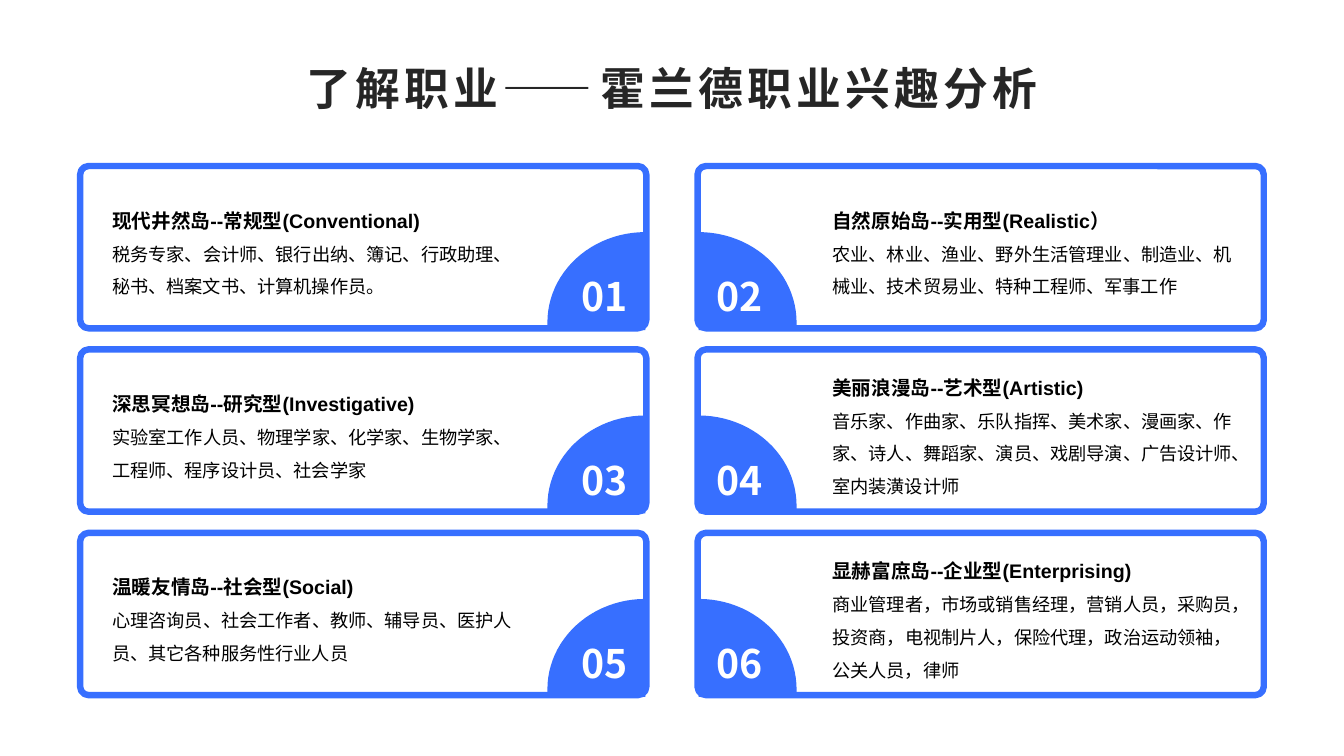
from math import cos, pi, sin

from pptx import Presentation
from pptx import util as u
from pptx.dml.color import RGBColor
from pptx.enum import shapes, text
from pptx.oxml.ns import qn

BLUE = RGBColor(0x37, 0x6F, 0xFF)
DARK = RGBColor(0x26, 0x26, 0x26)
BLACK = RGBColor(0, 0, 0)
WHITE = RGBColor(0xFF, 0xFF, 0xFF)
LATIN_FONT, CHINESE_FONT = "Arial", "Noto Sans CJK SC"

# Card grid, in points
COLUMN_LEFTS = (55, 496)
FIRST_TOP, ROW_PITCH = 116.3, 131
CARD_WIDTH, CARD_HEIGHT = 409, 120.5
BORDER, CORNER = 4.6, 6
BADGE_SIZE, BADGE_RISE, BADGE_INSET, BADGE_TOP = 70, 64.5, 3, 49.5

TITLE = "了解职业——霍兰德职业兴趣分析"
ISLANDS = [
    ("现代井然岛--常规型(Conventional)",
     "税务专家、会计师、银行出纳、簿记、行政助理、秘书、档案文书、计算机操作员。"),
    ("自然原始岛--实用型(Realistic）",
     "农业、林业、渔业、野外生活管理业、制造业、机械业、技术贸易业、特种工程师、军事工作"),
    ("深思冥想岛--研究型(Investigative)",
     "实验室工作人员、物理学家、化学家、生物学家、工程师、程序设计员、社会学家"),
    ("美丽浪漫岛--艺术型(Artistic)",
     "音乐家、作曲家、乐队指挥、美术家、漫画家、作家、诗人、舞蹈家、演员、戏剧导演、广告设计师、室内装潢设计师"),
    ("温暖友情岛--社会型(Social)",
     "心理咨询员、社会工作者、教师、辅导员、医护人员、其它各种服务性行业人员"),
    ("显赫富庶岛--企业型(Enterprising)",
     "商业管理者，市场或销售经理，营销人员，采购员，投资商，电视制片人，保险代理，政治运动领袖，公关人员，律师"),
]


class IslandPage:
    def __init__(self, page):
        self.page = page

    def style(self, para, size, color, bold, align, font=CHINESE_FONT, tracking=0):
        para.alignment = align
        for span in para.runs:
            span.font.name = font
            span.font.size = u.Pt(size)
            span.font.bold = bold
            span.font.color.rgb = color
            properties = span.font._element
            properties.get_or_change_to_solidFill()
            east_asian = properties.makeelement(qn("a:ea"), {"typeface": CHINESE_FONT})
            properties.find(qn("a:latin")).addnext(east_asian)
            if tracking:
                properties.set("spc", str(tracking * 100))

    def frame_text(self, box, left, top, right, bottom):
        frame = box.text_frame
        frame.word_wrap = True
        frame.auto_size = text.MSO_AUTO_SIZE.NONE
        frame.vertical_anchor = text.MSO_ANCHOR.MIDDLE
        frame.margin_left, frame.margin_top = u.Pt(left), u.Pt(top)
        frame.margin_right, frame.margin_bottom = u.Pt(right), u.Pt(bottom)
        return frame

    def title(self, words):
        box = self.page.shapes.title
        box.left, box.top, box.width, box.height = map(u.Pt, (54.7, 31, 850.5, 62.6))
        frame = self.frame_text(box, 7.2, 3.6, 7.2, 3.6)
        frame.text = words
        self.style(frame.paragraphs[0], 32, DARK, True, text.PP_ALIGN.CENTER, tracking=3)

    def badge(self, left, top, number, on_right):
        # Quarter ellipse with a short straight foot, curving toward the card middle
        outer = left + CARD_WIDTH - BADGE_INSET if on_right else left + BADGE_INSET
        inward = -1 if on_right else 1
        top += BADGE_TOP
        steps = 24
        angles = [pi / 2 * step / steps for step in range(steps + 1)]
        points = [(outer + inward * BADGE_SIZE * sin(angle),
                   top + BADGE_RISE * (1 - cos(angle))) for angle in angles]
        points += [(outer + inward * BADGE_SIZE, top + BADGE_SIZE), (outer, top + BADGE_SIZE)]
        points = [(u.Pt(x), u.Pt(y)) for x, y in points]
        builder = self.page.shapes.build_freeform(*points[0], scale=1.0)
        builder.add_line_segments(points[1:], close=True)
        box = builder.convert_to_shape()
        box.shadow.inherit = False
        box.fill.solid()
        box.fill.fore_color.rgb = BLUE
        box.line.fill.background()
        side_margins = (11.5, 0) if on_right else (0, 11.5)
        frame = self.frame_text(box, side_margins[0], 25.2, side_margins[1], 3.6)
        frame.text = number
        self.style(frame.paragraphs[0], 28, WHITE, True, text.PP_ALIGN.CENTER)

    def card(self, left, top, heading, jobs, badge_on_right):
        width, height = CARD_WIDTH - BORDER, CARD_HEIGHT - BORDER
        box = self.page.shapes.add_shape(
            shapes.MSO_SHAPE.ROUNDED_RECTANGLE, u.Pt(left + BORDER / 2),
            u.Pt(top + BORDER / 2), u.Pt(width), u.Pt(height))
        box.adjustments[0] = CORNER / height
        box.shadow.inherit = False
        box.fill.background()
        box.line.color.rgb = BLUE
        box.line.width = u.Pt(BORDER)
        # A rounded rectangle already insets its text by part of the corner
        inset = BORDER / 2 + CORNER * (1 - cos(pi / 4))
        near, far, end = 25.2 - inset, 98.6 - inset, 13.7 - inset
        sides = (near, far) if badge_on_right else (far, near)
        frame = self.frame_text(box, sides[0], end, sides[1], end)
        frame.text = heading
        frame.add_paragraph().text = jobs
        for para, size, bold in zip(frame.paragraphs, (14, 13), (True, False)):
            para.line_spacing = 1.5
            self.style(para, size, BLACK, bold, text.PP_ALIGN.JUSTIFY, LATIN_FONT)


def main():
    deck = Presentation()
    deck.slide_width, deck.slide_height = u.Pt(960), u.Pt(540)
    island_page = IslandPage(deck.slides.add_slide(deck.slide_layouts[5]))

    # Title
    island_page.title(TITLE)

    # Six cards in two columns, badges facing the centre gap
    for index, (heading, jobs) in enumerate(ISLANDS):
        row, column = divmod(index, 2)
        left, top = COLUMN_LEFTS[column], FIRST_TOP + row * ROW_PITCH
        on_right = column == 0
        island_page.badge(left, top, f"{index + 1:02d}", on_right)
        island_page.card(left, top, heading, jobs, on_right)

    deck.save("out.pptx")


if __name__ == "__main__":
    main()
